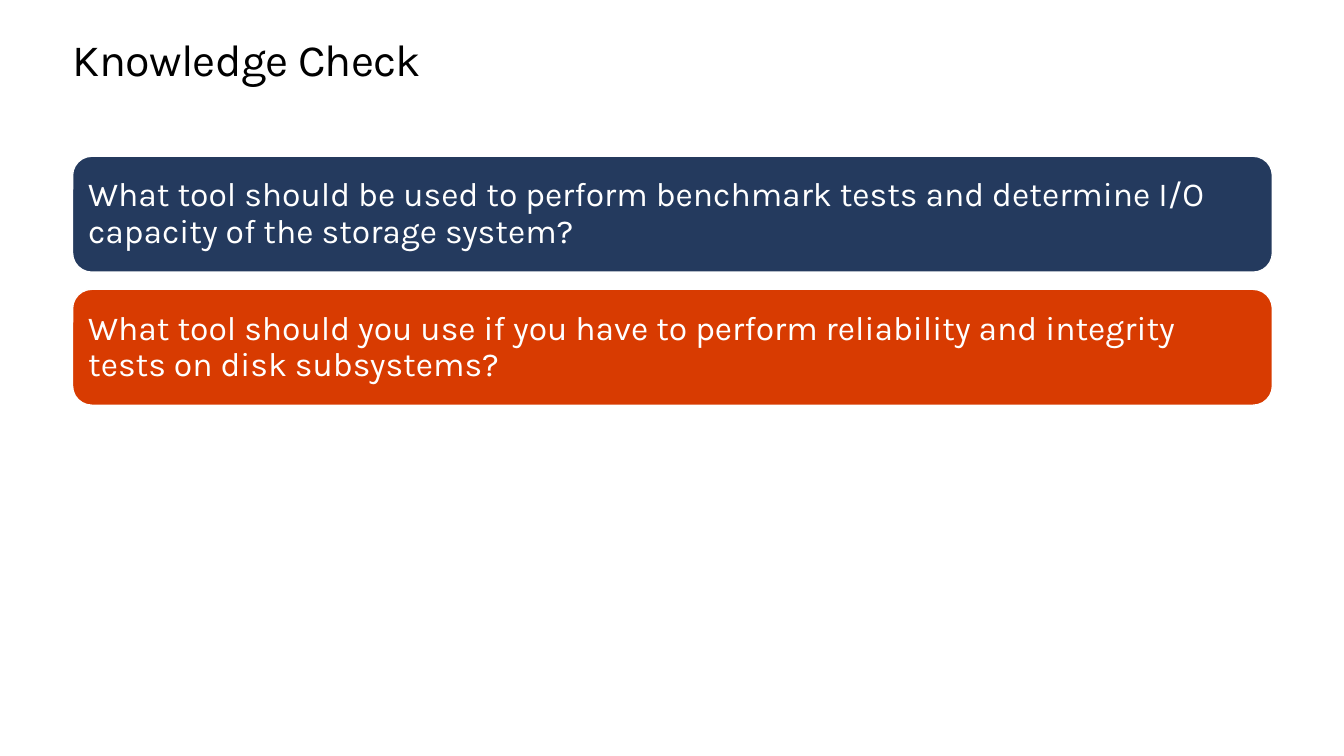
from dataclasses import dataclass

from pptx import Presentation
from pptx import util as u
from pptx.dml.color import RGBColor
from pptx.enum import shapes, text

PX = u.Inches(1) // 100


@dataclass(frozen=True)
class Theme:
    """Colours, font and type sizes of the slide."""
    font: str = "Karla"
    ink: str = "000000"
    paper: str = "FFFFFF"
    navy: str = "243A5E"
    orange: str = "D83B01"
    title_size: int = 32
    card_size: int = 24


def write(frame, words, *, font, size, color, spacing, anchor, inset=0, tracking=None):
    """Fill a text frame with one left-aligned, formatted paragraph."""
    frame.word_wrap = True
    frame.auto_size = text.MSO_AUTO_SIZE.NONE
    frame.vertical_anchor = anchor
    frame.margin_left = frame.margin_right = inset * PX
    frame.margin_top = frame.margin_bottom = inset * PX
    paragraph = frame.paragraphs[0]
    paragraph.alignment = text.PP_ALIGN.LEFT
    paragraph.line_spacing = spacing
    paragraph.space_before = u.Pt(0)
    run = paragraph.add_run()
    run.text = words
    run.font.name = font
    run.font.size = u.Pt(size)
    run.font.color.rgb = RGBColor.from_string(color)
    if tracking is not None:
        run.font._element.set("spc", str(tracking))


class SlideBuilder:
    """Places styled elements on the current slide."""

    def __init__(self, slide, theme):
        """Keep the slide and its theme."""
        self.slide = slide
        self.theme = theme

    def title(self, words, left, top, width, height):
        """Move and fill the title placeholder."""
        shape = self.slide.shapes.title
        shape.left, shape.top = left * PX, top * PX
        shape.width, shape.height = width * PX, height * PX
        write(shape.text_frame, words, font=self.theme.font, size=self.theme.title_size,
              color=self.theme.ink, spacing=u.Pt(36.2), anchor=text.MSO_ANCHOR.TOP,
              tracking=-50)

    def card(self, words, fill, left, top, width, height):
        """Add a rounded question card."""
        shape = self.slide.shapes.add_shape(
            shapes.MSO_SHAPE.ROUNDED_RECTANGLE,
            left * PX, top * PX, width * PX, height * PX)
        shape.shadow.inherit = False
        shape.fill.solid()
        shape.fill.fore_color.rgb = RGBColor.from_string(fill)
        shape.line.color.rgb = RGBColor.from_string(self.theme.paper)
        shape.line.width = u.Pt(1)
        write(shape.text_frame, words, font=self.theme.font, size=self.theme.card_size,
              color=self.theme.paper, spacing=0.9, anchor=text.MSO_ANCHOR.MIDDLE, inset=10)


def main():
    """Build and save the knowledge check slide."""
    theme = Theme()
    presentation = Presentation()
    presentation.slide_width, presentation.slide_height = 1333 * PX, 750 * PX
    slide = presentation.slides.add_slide(presentation.slide_layouts.get_by_name("Title Only"))
    builder = SlideBuilder(slide, theme)

    left, width = 72, 1190
    builder.title("Knowledge Check", left, 35, width, 50)

    questions = [
        ("What tool should be used to perform benchmark tests and determine I/O "
         "capacity of the storage system?", theme.navy),
        ("What tool should you use if you have to perform reliability and integrity "
         "tests on disk subsystems?", theme.orange),
    ]
    first_top, height, gap = 155, 115, 17
    for index, (question, fill) in enumerate(questions):
        builder.card(question, fill, left, first_top + index * (height + gap), width, height)

    presentation.save("out.pptx")


if __name__ == "__main__":
    main()
